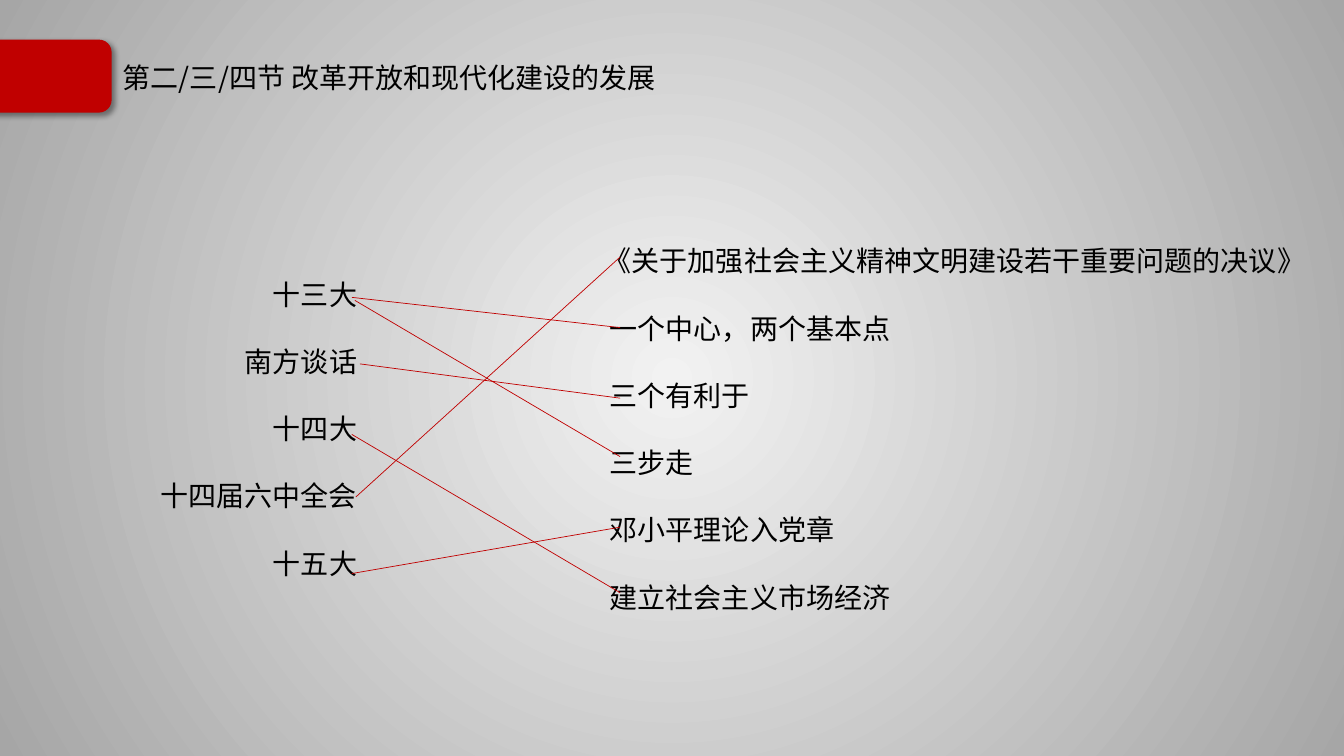
from lxml.etree import SubElement
from pptx import Presentation
from pptx.dml.color import RGBColor
from pptx.enum.shapes import MSO_CONNECTOR, MSO_SHAPE
from pptx.enum.text import MSO_ANCHOR, PP_ALIGN
from pptx.oxml.ns import qn
from pptx.util import Inches, Pt

RED = "C00000"
BLACK = "000000"
TITLE_FONT = "Noto Sans CJK JP"
BODY_FONT = "Noto Sans CJK SC"
ROW_GAP = 24

MEETINGS = ["十三大", "南方谈话", "十四大", "十四届六中全会", "十五大"]
DECISION = "《关于加强社会主义精神文明建设若干重要问题的决议》"
IDEAS = [DECISION, "一个中心，两个基本点", "三个有利于", "三步走",
         "邓小平理论入党章", "建立社会主义市场经济"]

# Start and end of each matching line, in inches
MATCHES = [
    ((3.49, 2.95), (6.15, 3.25)),
    ((3.57, 3.61), (6.15, 3.95)),
    ((3.49, 4.31), (6.15, 5.88)),
    ((3.53, 4.93), (6.15, 2.55)),
    ((3.49, 5.69), (6.15, 5.23)),
    ((3.52, 2.98), (6.15, 4.53)),
]


def color(hex_code):
    return RGBColor.from_string(hex_code)


def set_background(slide, center, edge):
    fill = slide.background.fill
    fill.gradient()
    for stop, shade in zip(fill.gradient_stops, (center, edge)):
        stop.color.rgb = color(shade)
    # Turn the linear gradient into a circular one
    linear = slide.element.find(".//" + qn("a:lin"))
    gradient = linear.getparent()
    gradient.remove(linear)
    circle = SubElement(gradient, qn("a:path"), path="circle")
    SubElement(circle, qn("a:fillToRect"),
               l="50000", t="50000", r="50000", b="50000")


def add_text(slide, lines, left, top, width, height, font=BODY_FONT, size=20,
             align=PP_ALIGN.LEFT, anchor=MSO_ANCHOR.TOP, inset_top=0.05,
             gap=0, line_spacing=1.0, indents=None):
    box = slide.shapes.add_textbox(Inches(left), Inches(top),
                                   Inches(width), Inches(height))
    frame = box.text_frame
    frame.word_wrap = True
    frame.vertical_anchor = anchor
    frame.margin_top = Inches(inset_top)
    for index, line in enumerate(lines):
        paragraph = frame.paragraphs[0] if index == 0 else frame.add_paragraph()
        paragraph.alignment = align
        paragraph.line_spacing = line_spacing
        if index:
            paragraph.space_before = Pt(gap)
        if indents and indents[index]:
            properties = paragraph._p.get_or_add_pPr()
            properties.set("marL", str(Inches(indents[index])))
            properties.set("indent", "0")
        run = paragraph.add_run()
        run.text = line
        run.font.name = font
        run.font.size = Pt(size)
        run.font.color.rgb = color(BLACK)
        SubElement(run.font._element, qn("a:ea"), typeface=font)


def add_tab(slide, left, top, width, height):
    tab = slide.shapes.add_shape(MSO_SHAPE.ROUNDED_RECTANGLE, Inches(left),
                                 Inches(top), Inches(width), Inches(height))
    tab.fill.solid()
    tab.fill.fore_color.rgb = color(RED)
    tab.line.color.rgb = color(RED)
    tab.line.width = Pt(1)
    # Soft shadow towards the lower right
    tab.shadow.inherit = False
    effects = tab.element.spPr.find(qn("a:effectLst"))
    shadow = SubElement(effects, qn("a:outerShdw"), blurRad=str(Pt(4)),
                        dist=str(Pt(3)), dir=str(45 * 60000),
                        algn="tl", rotWithShape="0")
    tint = SubElement(shadow, qn("a:srgbClr"), val=BLACK)
    SubElement(tint, qn("a:alpha"), val="40000")


def add_match(slide, start, end):
    match = slide.shapes.add_connector(MSO_CONNECTOR.STRAIGHT,
                                       *map(Inches, start + end))
    match.line.color.rgb = color(RED)
    match.line.width = Pt(0.5)
    SubElement(match.element.spPr, qn("a:effectLst"))


def main():
    deck = Presentation()
    deck.slide_width = Inches(13.33)
    deck.slide_height = Inches(7.5)
    slide = deck.slides.add_slide(deck.slide_layouts[6])
    set_background(slide, "F2F2F2", "A6A6A6")

    # Section title
    add_text(slide, ["第二/三/四节 改革开放和现代化建设的发展"],
             1.12, 0.49, 6.14, 0.59, font=TITLE_FONT,
             anchor=MSO_ANCHOR.MIDDLE, line_spacing=0.9)

    # The two columns to be matched
    add_text(slide, MEETINGS, -0.91, 2.25, 4.55, 3.94,
             align=PP_ALIGN.RIGHT, inset_top=0.5, gap=ROW_GAP)
    add_text(slide, IDEAS, 5.89, 1.96, 8.4, 4.88, inset_top=0.46, gap=ROW_GAP,
             indents=[0] + [0.06] * (len(IDEAS) - 1))

    # Red tab at the left edge
    add_tab(slide, -0.18, 0.4, 1.28, 0.71)

    # Matching lines
    for start, end in MATCHES:
        add_match(slide, start, end)

    deck.save("out.pptx")


if __name__ == "__main__":
    main()
